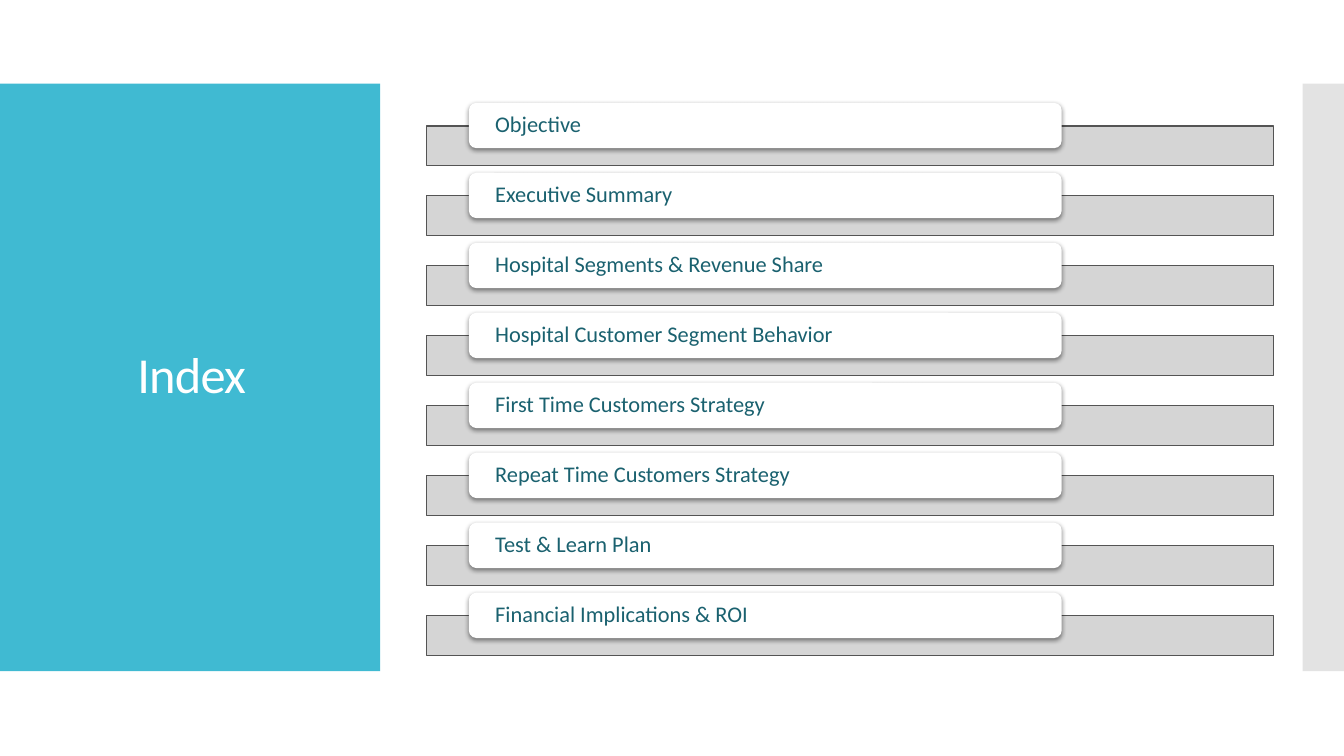
from lxml.etree import SubElement
from pptx import Presentation
from pptx.dml.color import RGBColor
from pptx.enum.shapes import MSO_SHAPE as SHAPE
from pptx.enum.text import MSO_ANCHOR as ANCHOR, PP_ALIGN as ALIGN
from pptx.oxml.ns import qn
from pptx.util import Inches, Pt

FONT = "Calibri"
COLORS = {
    "panel": "40BAD2",
    "edge": "C8C8C8",
    "bar": "D1D1D1",
    "outline": "545454",
    "white": "FFFFFF",
    "item": "1A616F",
    "shadow": "000000",
}
ITEMS = [
    "Objective",
    "Executive Summary",
    "Hospital Segments & Revenue Share",
    "Hospital Customer Segment Behavior",
    "First Time Customers Strategy",
    "Repeat Time Customers Strategy",
    "Test & Learn Plan",
    "Financial Implications & ROI",
]
FIRST_BAR, LAST_BAR = 1.25, 6.11
PITCH = (LAST_BAR - FIRST_BAR) / (len(ITEMS) - 1)
CARD_RISE = 0.23


def rgb(name):
    return RGBColor.from_string(COLORS[name])


def set_alpha(color, percent):
    SubElement(color, qn("a:alpha"), val=str(percent * 1000))


def add_block(slide, kind, box, fill, opacity=100, outline=None):
    sp = slide.shapes.add_shape(kind, *map(Inches, box))
    sp.shadow.inherit = False
    sp.fill.solid()
    sp.fill.fore_color.rgb = rgb(fill)
    if opacity < 100:
        set_alpha(sp._element.spPr.find(qn("a:solidFill"))[0], opacity)
    if outline:
        sp.line.color.rgb = rgb(outline)
        sp.line.width = Pt(0.75)
    else:
        sp.line.fill.background()
    return sp


def add_shadow(sp):
    effects = sp._element.spPr.find(qn("a:effectLst"))
    outer = SubElement(effects, qn("a:outerShdw"), blurRad=str(Pt(3.5)),
                       dist=str(Pt(1.1)), dir="5400000", rotWithShape="0")
    set_alpha(SubElement(outer, qn("a:srgbClr"), val=COLORS["shadow"]), 45)


def write(sp, text, size, color, align):
    tf = sp.text_frame
    tf.text = text
    tf.word_wrap = True
    tf.vertical_anchor = ANCHOR.MIDDLE
    p = tf.paragraphs[0]
    p.alignment = align
    p.line_spacing = 0.9
    r = p.runs[0]
    r.font.name = FONT
    r.font.size = Pt(size)
    r.font.color.rgb = rgb(color)
    return r


def add_title(slide, text):
    title = slide.shapes.title
    title.left, title.top, title.width, title.height = map(
        Inches, (0.29, 1.23, 3.22, 5.03))
    r = write(title, text, 36, "white", ALIGN.CENTER)
    r.font._element.set("spc", "-60")
    slide.shapes._spTree.append(title._element)


def add_item(slide, text, top):
    add_block(slide, SHAPE.RECTANGLE, (4.23, top, 8.4, 0.39),
              "bar", 90, "outline")
    card = add_block(slide, SHAPE.ROUNDED_RECTANGLE,
                     (4.65, top - CARD_RISE, 5.88, 0.45), "white")
    add_shadow(card)
    write(card, text, 16, "item", ALIGN.LEFT)
    tf = card.text_frame
    tf.margin_left = tf.margin_right = Inches(0.24)
    tf.margin_top = tf.margin_bottom = 0


def main():
    prs = Presentation()
    prs.slide_width, prs.slide_height = Inches(13.33), Inches(7.5)
    slide = prs.slides.add_slide(prs.slide_layouts[5])
    add_block(slide, SHAPE.RECTANGLE, (0, 0.83, 3.77, 5.83), "panel")
    add_block(slide, SHAPE.RECTANGLE, (12.92, 0.83, 0.41, 5.83), "edge", 50)
    add_title(slide, "Index")
    for i, text in enumerate(ITEMS):
        add_item(slide, text, FIRST_BAR + i * PITCH)
    prs.save("out.pptx")


if __name__ == "__main__":
    main()
